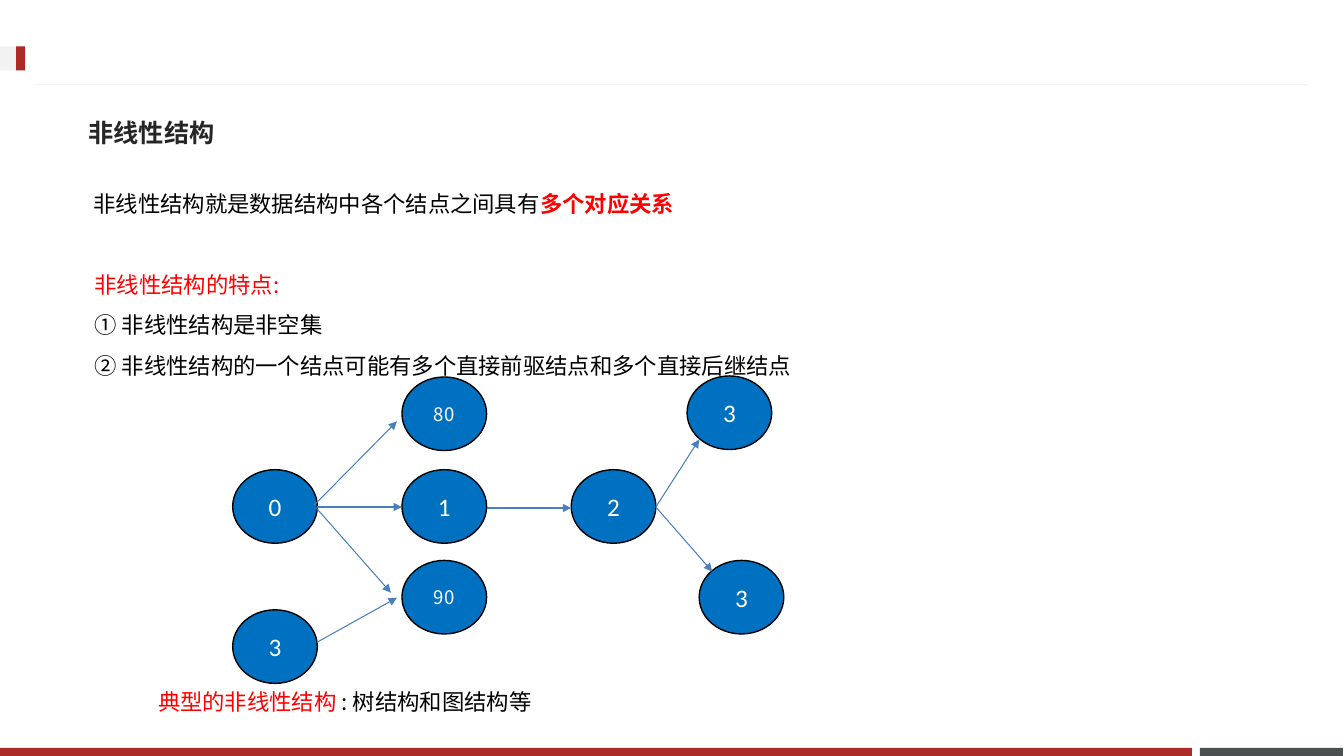
import pptx
import pptx.dml.color
import pptx.enum.shapes
import pptx.enum.text
import pptx.oxml.ns
import pptx.util
from lxml import etree

Inches = pptx.util.Inches
Pt = pptx.util.Pt
RGBColor = pptx.dml.color.RGBColor
Shape = pptx.enum.shapes.MSO_SHAPE
Anchor = pptx.enum.text.MSO_ANCHOR
Align = pptx.enum.text.PP_ALIGN
qn = pptx.oxml.ns.qn

RED = RGBColor(0xAD, 0x2B, 0x26)
SLATE = RGBColor(0x49, 0x50, 0x4F)
PALE = RGBColor(0xF2, 0xF2, 0xF2)
INK = RGBColor(0x26, 0x26, 0x26)
BLACK = RGBColor(0, 0, 0)
WHITE = RGBColor(0xFF, 0xFF, 0xFF)
ACCENT = RGBColor(0xFF, 0, 0)
NODE = RGBColor(0, 0x70, 0xC0)
EDGE = RGBColor(0x4B, 0x7E, 0xBC)

CJK = "Noto Sans CJK SC"
TITLE_FONT = "Noto Sans CJK JP"
DIGITS = "Calibri"
NODE_W, NODE_H = 0.84, 0.73


class Canvas:
    def __init__(self, slide):
        self.shapes = slide.shapes

    def run(self, paragraph, words, color, size=16, font=CJK, bold=False):
        run = paragraph.add_run()
        run.text = words
        run.font.size = Pt(size)
        run.font.bold = bold
        run.font.color.rgb = color
        run.font.name = font
        east_asian = etree.SubElement(run.font._element, qn("a:ea"))
        east_asian.set("typeface", font)

    def filled(self, kind, box, color):
        shape = self.shapes.add_shape(kind, *map(Inches, box))
        shape.shadow.inherit = False
        shape.fill.solid()
        shape.fill.fore_color.rgb = color
        shape.line.fill.background()
        return shape

    def node(self, left, top, label, size=18, font=DIGITS):
        circle = self.filled(Shape.OVAL, (left, top, NODE_W, NODE_H), NODE)
        circle.line.color.rgb = BLACK
        circle.line.width = Pt(1)
        frame = circle.text_frame
        frame.vertical_anchor = Anchor.MIDDLE
        frame.paragraphs[0].alignment = Align.CENTER
        self.run(frame.paragraphs[0], label, WHITE, size, font)

    def line(self, start, end, color, arrow=False):
        line = self.shapes.add_connector(
            pptx.enum.shapes.MSO_CONNECTOR.STRAIGHT, *map(Inches, start + end))
        line.line.color.rgb = color
        line.line.width = Pt(0.75)
        if arrow:
            etree.SubElement(line.line._get_or_add_ln(), qn("a:tailEnd")).set("type", "triangle")
        etree.SubElement(line._element.spPr, qn("a:effectLst"))

    def text(self, box, paragraphs, spacing=None, anchor=Anchor.TOP):
        """Each paragraph is a list of argument tuples for run()."""
        frame = self.shapes.add_textbox(*map(Inches, box)).text_frame
        frame.word_wrap = True
        frame.vertical_anchor = anchor
        for i, runs in enumerate(paragraphs):
            paragraph = frame.add_paragraph() if i else frame.paragraphs[0]
            if spacing:
                paragraph.line_spacing = spacing
            for run in runs:
                self.run(paragraph, *run)


def main():
    deck = pptx.Presentation()
    deck.slide_width, deck.slide_height = Inches(13.34), Inches(7.5)
    canvas = Canvas(deck.slides.add_slide(deck.slide_layouts[6]))

    for box, color in [
        ((11.91, 7.42, 1.42, 0.08), SLATE),
        ((0, 7.42, 11.83, 0.08), RED),
        ((0, 0.46, 0.25, 0.24), PALE),
        ((0.16, 0.46, 0.09, 0.24), RED),
    ]:
        canvas.filled(Shape.RECTANGLE, box, color)
    canvas.line((12.98, 0.84), (0.35, 0.84), PALE)

    canvas.text((0.78, 1.03, 11.7, 0.57),
                [[("非线性结构", INK, 18, TITLE_FONT, True)]], anchor=Anchor.MIDDLE)
    canvas.text((0.83, 1.84, 6.04, 0.37), [[
        ("非线性结构就是数据结构中各个结点之间具有", BLACK),
        ("多个对应关系", ACCENT, 16, CJK, True)]])
    canvas.text((0.84, 2.51, 7.16, 1.67), [
        [("非线性结构的特点:", ACCENT)],
        [("① 非线性结构是非空集", BLACK)],
        [("② 非线性结构的一个结点可能有多个直接前驱结点和多个直接后继结点", BLACK)],
    ], spacing=1.5)

    for left, top, label in [
        (2.31, 4.66, "0"), (3.99, 4.66, "1"), (5.67, 4.66, "2"),
        (6.82, 3.73, "3"), (6.94, 5.56, "3"), (2.31, 6.05, "3"),
    ]:
        canvas.node(left, top, label)
    for top, label in [(3.74, "80"), (5.56, "90")]:
        canvas.node(3.99, top, label, 13.3, CJK)

    for start, end in [
        ((3.15, 5.03), (3.99, 5.03)),
        ((3.14, 5.04), (3.88, 5.88)),
        ((3.12, 5.01), (3.94, 4.18)),
        ((4.83, 5.04), (5.67, 5.04)),
        ((6.51, 5.03), (7.07, 5.67)),
        ((6.51, 5.03), (6.94, 4.36)),
        ((3.15, 6.37), (3.94, 5.93)),
    ]:
        canvas.line(start, end, EDGE, arrow=True)

    canvas.text((1.47, 6.78, 3.98, 0.37), [[
        ("典型的非线性结构 ", ACCENT), (": 树结构和图结构等", BLACK)]])

    deck.save("out.pptx")


if __name__ == "__main__":
    main()
